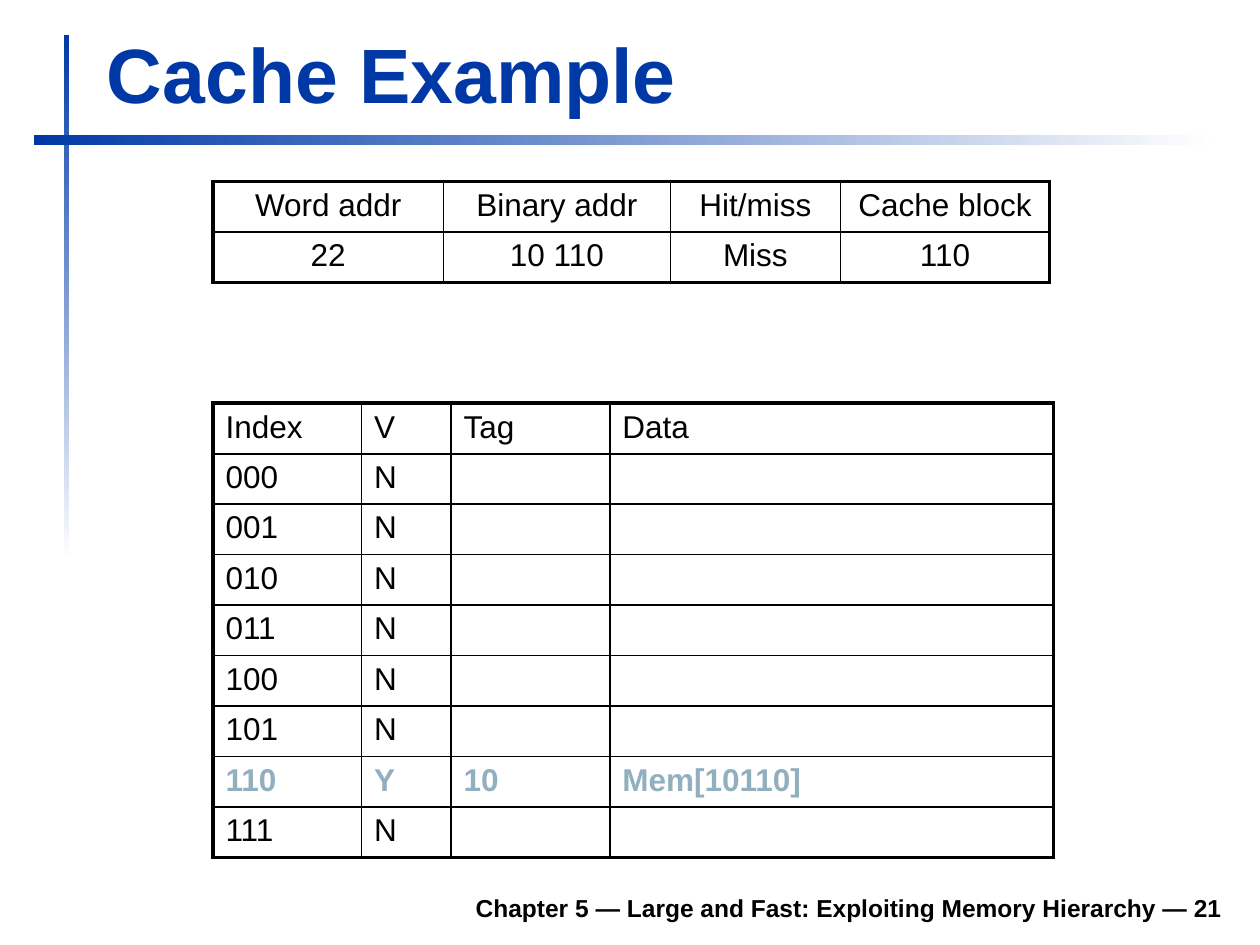
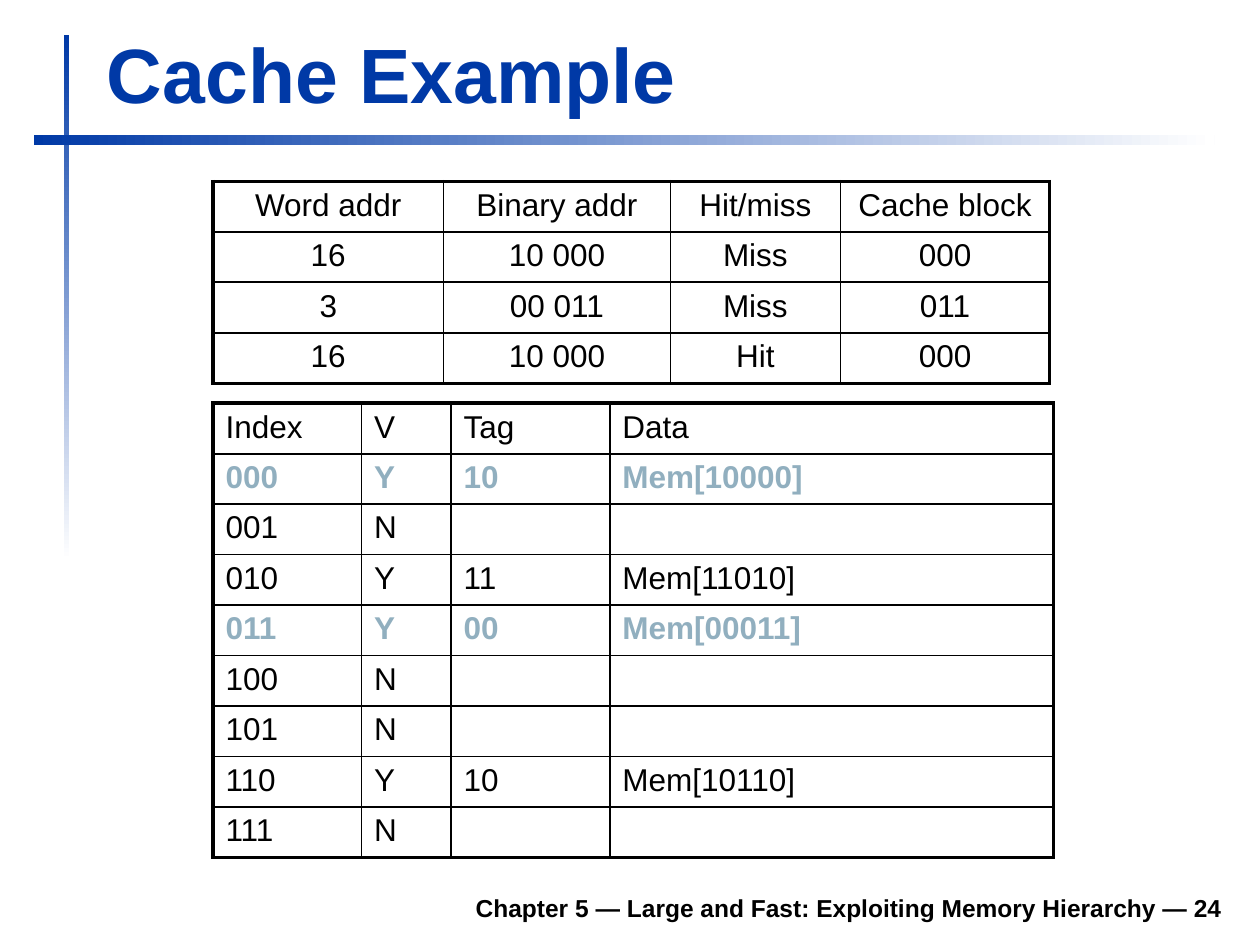
from dataclasses import dataclass

import pptx
import pptx.dml.color
import pptx.enum.shapes
import pptx.enum.text
import pptx.oxml.ns
import pptx.slide
import pptx.table
import pptx.text.text
import pptx.util
from lxml import etree

# Colours and type
BLUE = pptx.dml.color.RGBColor(0x00, 0x39, 0xA6)
STEEL = pptx.dml.color.RGBColor(0x91, 0xAF, 0xBF)
BLACK = pptx.dml.color.RGBColor(0x00, 0x00, 0x00)
WHITE = pptx.dml.color.RGBColor(0xFF, 0xFF, 0xFF)
FONT = "Arial"
LEFT = pptx.enum.text.PP_ALIGN.LEFT
CENTER = pptx.enum.text.PP_ALIGN.CENTER
RIGHT = pptx.enum.text.PP_ALIGN.RIGHT

# The slide is a grid of 100 columns by 75 rows
SLIDE_WIDTH = pptx.util.Inches(10)
SLIDE_HEIGHT = pptx.util.Inches(7.5)
COLUMN = SLIDE_WIDTH / 100
ROW = SLIDE_HEIGHT / 75
TABLE_ROW = 4

# Border widths in points
OUTER_RULE = 2.25
HEADER_RULE = 1.5
THIN_RULE = 1

FOOTER = "Chapter 5 — Large and Fast: Exploiting Memory Hierarchy — "
INDEX_BITS = 3


@dataclass(frozen=True)
class Area:
    """A place on the grid, in columns and rows."""
    left: float
    top: float
    width: float
    height: float

    def lengths(self) -> tuple[int, int, int, int]:
        return (round(self.left * COLUMN), round(self.top * ROW),
                round(self.width * COLUMN), round(self.height * ROW))


@dataclass(frozen=True)
class Bar:
    area: Area
    angle: int


@dataclass(frozen=True)
class TextStyle:
    size: float
    color: pptx.dml.color.RGBColor = BLACK
    bold: bool = False
    alignment: pptx.enum.text.PP_ALIGN = LEFT


@dataclass(frozen=True)
class TableLayout:
    left: float
    top: float
    widths: tuple[float, ...]
    header: tuple[str, ...]
    alignment: pptx.enum.text.PP_ALIGN
    body_rule: float


@dataclass(frozen=True)
class Access:
    word: int
    result: str


@dataclass(frozen=True)
class CacheSlide:
    number: int
    accesses: tuple[Access, ...]
    cached_words: tuple[int, ...]


BARS = (Bar(Area(5.1, 2.8, 0.4, 41.7), 270),
        Bar(Area(2.7, 10.7, 93.7, 0.8), 0))
TITLE_AREA = Area(7.5, 1.6, 90.3, 8.3)
FOOTER_AREA = Area(18.5, 69.8, 79.5, 3.9)
TITLE_STYLE = TextStyle(44, BLUE, True)
FOOTER_STYLE = TextStyle(14, BLACK, True, RIGHT)

CACHE_TABLE = TableLayout(16.9, 32, (11.8, 7.1, 12.6, 35.2),
                          ("Index", "V", "Tag", "Data"), LEFT, THIN_RULE)
ACCESS_TABLE = TableLayout(16.9, 14.4, (18.3, 18, 13.5, 16.6),
                           ("Word addr", "Binary addr", "Hit/miss", "Cache block"),
                           CENTER, HEADER_RULE)

SLIDES = (
    CacheSlide(21, (Access(22, "Miss"),), (22,)),
    CacheSlide(24, (Access(16, "Miss"), Access(3, "Miss"), Access(16, "Hit")),
               (16, 26, 3, 22)),
)


def split_address(word: int) -> tuple[str, str]:
    """Return the tag and the index of a five-bit word address."""
    bits = f"{word:05b}"
    return bits[:-INDEX_BITS], bits[-INDEX_BITS:]


def write(frame: pptx.text.text.TextFrame, text: str, style: TextStyle) -> None:
    paragraph = frame.paragraphs[0]
    paragraph.alignment = style.alignment
    run = paragraph.add_run()
    run.text = text
    run.font.name = FONT
    run.font.size = pptx.util.Pt(style.size)
    run.font.bold = style.bold
    run.font.color.rgb = style.color


def add_text(slide: pptx.slide.Slide, area: Area, text: str, style: TextStyle) -> None:
    frame = slide.shapes.add_textbox(*area.lengths()).text_frame
    frame.word_wrap = True
    frame.vertical_anchor = pptx.enum.text.MSO_ANCHOR.BOTTOM
    write(frame, text, style)


def add_bar(slide: pptx.slide.Slide, bar: Bar) -> None:
    shape = slide.shapes.add_shape(
        pptx.enum.shapes.MSO_SHAPE.RECTANGLE, *bar.area.lengths())
    shape.shadow.inherit = False
    shape.line.fill.background()
    shape.fill.gradient()
    shape.fill.gradient_angle = bar.angle
    for stop, color in zip(shape.fill.gradient_stops, (BLUE, WHITE)):
        stop.color.rgb = color


def set_borders(cell: pptx.table._Cell, widths: dict[str, float]) -> None:
    properties = cell._tc.get_or_add_tcPr()
    qn = pptx.oxml.ns.qn
    for side, width in widths.items():
        line = etree.SubElement(properties, qn(f"a:ln{side}"),
                                w=str(pptx.util.Pt(width)))
        fill = etree.SubElement(line, qn("a:solidFill"))
        etree.SubElement(fill, qn("a:srgbClr"), val=str(BLACK))


def add_grid(slide: pptx.slide.Slide, layout: TableLayout,
             body: list[tuple[str, ...]], highlighted: frozenset[str] = frozenset()) -> None:
    """Draw a table; body rows whose first cell is highlighted stand out."""
    rows = [layout.header, *body]
    area = Area(layout.left, layout.top, sum(layout.widths), TABLE_ROW * len(rows))
    table = slide.shapes.add_table(
        len(rows), len(layout.widths), *area.lengths()).table
    table.first_row = table.horz_banding = False
    for column, width in zip(table.columns, layout.widths):
        column.width = round(width * COLUMN)

    # Rules from edge to edge, shared by neighbouring cells
    across = [OUTER_RULE, HEADER_RULE, *[layout.body_rule] * (len(body) - 1), OUTER_RULE]
    down = [OUTER_RULE, *[THIN_RULE] * (len(layout.widths) - 1), OUTER_RULE]
    for i, texts in enumerate(rows):
        table.rows[i].height = round(TABLE_ROW * ROW)
        stands_out = texts[0] in highlighted
        style = TextStyle(18, STEEL if stands_out else BLACK, stands_out, layout.alignment)
        for j, text in enumerate(texts):
            cell = table.cell(i, j)
            set_borders(cell, {"L": down[j], "R": down[j + 1],
                               "T": across[i], "B": across[i + 1]})
            cell.fill.background()
            if text:
                write(cell.text_frame, text, style)


def cache_rows(words: tuple[int, ...]) -> list[tuple[str, ...]]:
    tags = {index: tag for tag, index in map(split_address, words)}
    rows = []
    for number in range(2 ** INDEX_BITS):
        index = f"{number:03b}"
        tag = tags.get(index)
        rows.append((index, "Y", tag, f"Mem[{tag}{index}]") if tag else (index, "N", "", ""))
    return rows


def access_rows(accesses: tuple[Access, ...]) -> list[tuple[str, ...]]:
    rows = []
    for access in accesses:
        tag, index = split_address(access.word)
        rows.append((str(access.word), f"{tag} {index}", access.result, index))
    return rows


def add_cache_slide(presentation: pptx.presentation.Presentation,
                    content: CacheSlide) -> None:
    slide = presentation.slides.add_slide(presentation.slide_layouts[6])
    # Shared frame
    for bar in BARS:
        add_bar(slide, bar)
    add_text(slide, FOOTER_AREA, f"{FOOTER}{content.number}", FOOTER_STYLE)
    add_text(slide, TITLE_AREA, "Cache Example", TITLE_STYLE)
    # Cache state, with the blocks just accessed highlighted, and the accesses
    touched = frozenset(split_address(access.word)[1] for access in content.accesses)
    add_grid(slide, CACHE_TABLE, cache_rows(content.cached_words), touched)
    add_grid(slide, ACCESS_TABLE, access_rows(content.accesses))


def main() -> None:
    presentation = pptx.Presentation()
    presentation.slide_width = SLIDE_WIDTH
    presentation.slide_height = SLIDE_HEIGHT
    for content in SLIDES:
        add_cache_slide(presentation, content)
    presentation.save("out.pptx")


if __name__ == "__main__":
    main()
